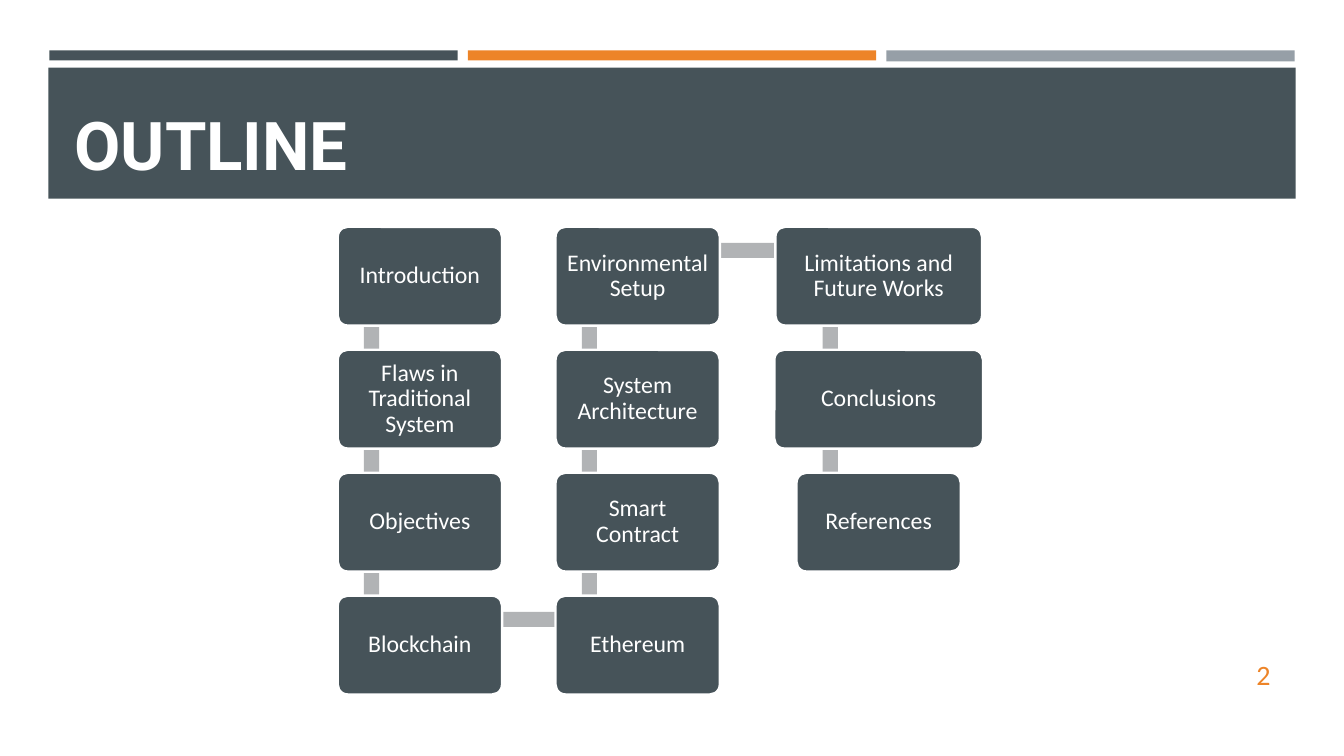
from dataclasses import dataclass
from itertools import pairwise

from pptx import Presentation, util as u
from pptx.dml.color import RGBColor
from pptx.enum import shapes, text

EMU_PER_PX = 9144  # 100 px to the inch

SLATE, ORANGE, GREY = "465359", "ED8428", "969FA7"
LINK_GREY, WHITE = "B1B3B5", "FFFFFF"

STEP_WIDTH, STEP_HEIGHT, ROW_PITCH = 163, 98, 122
FIRST_ROW_TOP = 225
COLUMN_LEFTS = (335, 551, 790)
LINK_THICKNESS, LINK_INSET_X, LINK_INSET_Y = 15, 26, 16


@dataclass
class Box:
    left: int
    top: int
    width: int
    height: int


@dataclass
class Step:
    label: str
    column: int
    row: int
    width: int = STEP_WIDTH

    @property
    def left(self) -> int:
        return COLUMN_LEFTS[self.column]

    @property
    def top(self) -> int:
        return FIRST_ROW_TOP + self.row * ROW_PITCH

    @property
    def box(self) -> Box:
        """Wider steps grow evenly on both sides of their column."""
        left = self.left - (self.width - STEP_WIDTH) // 2
        return Box(left, self.top, self.width, STEP_HEIGHT)


HEADER_BARS = [
    (Box(49, 50, 405, 10), SLATE),
    (Box(464, 50, 405, 10), ORANGE),
    (Box(879, 50, 405, 11), GREY),
    (Box(48, 67, 1237, 130), SLATE),
]

# The path runs down, up, then down again
STEPS = [
    Step("Introduction", 0, 0),
    Step("Flaws in Traditional System", 0, 1),
    Step("Objectives", 0, 2),
    Step("Blockchain", 0, 3),
    Step("Ethereum", 1, 3),
    Step("Smart Contract", 1, 2),
    Step("System Architecture", 1, 1),
    Step("Environmental Setup", 1, 0),
    Step("Limitations and Future Works", 2, 0, 205),
    Step("Conclusions", 2, 1, 207),
    Step("References", 2, 2),
]


def px(length: int) -> u.Emu:
    return u.Emu(length * EMU_PER_PX)


def color(value: str) -> RGBColor:
    return RGBColor.from_string(value)


def place(box: Box) -> tuple:
    return px(box.left), px(box.top), px(box.width), px(box.height)


def add_block(slide, box: Box, fill: str, kind=shapes.MSO_SHAPE.RECTANGLE):
    shape = slide.shapes.add_shape(kind, *place(box))
    shape.shadow.inherit = False
    shape.fill.solid()
    shape.fill.fore_color.rgb = color(fill)
    shape.line.fill.background()
    return shape


def set_text(shape, content: str, font: str, size: int, ink: str,
             align, anchor, bold: bool = False) -> None:
    frame = shape.text_frame
    frame.word_wrap = True
    frame.vertical_anchor = anchor
    frame.text = content
    paragraph = frame.paragraphs[0]
    paragraph.alignment = align
    paragraph.line_spacing = 0.9
    run_font = paragraph.runs[0].font
    run_font.name, run_font.size, run_font.bold = font, u.Pt(size), bold
    run_font.color.rgb = color(ink)


def add_link(slide, start: Step, end: Step) -> None:
    left = min(start.left, end.left) + LINK_INSET_X
    top = min(start.top, end.top)
    if start.column == end.column:
        box = Box(left, top + STEP_HEIGHT // 4, LINK_THICKNESS, ROW_PITCH)
    else:
        width = abs(end.left - start.left)
        box = Box(left, top + LINK_INSET_Y, width, LINK_THICKNESS)
    add_block(slide, box, LINK_GREY)


def add_step(slide, step: Step) -> None:
    shape = add_block(slide, step.box, SLATE, shapes.MSO_SHAPE.ROUNDED_RECTANGLE)
    shape.adjustments[0] = 0.1
    shape.line.color.rgb = color(WHITE)
    shape.line.width = u.Pt(1.75)
    frame = shape.text_frame
    frame.margin_left = frame.margin_right = px(7)
    frame.margin_top = frame.margin_bottom = px(7)
    set_text(shape, step.label, "Calibri", 17, WHITE,
             text.PP_ALIGN.CENTER, text.MSO_ANCHOR.MIDDLE)


def main() -> None:
    presentation = Presentation()
    presentation.slide_width, presentation.slide_height = px(1333), px(750)
    slide = presentation.slides.add_slide(presentation.slide_layouts[6])

    # Header
    for box, fill in HEADER_BARS:
        add_block(slide, box, fill)
    title = slide.shapes.add_textbox(*place(Box(64, 77, 1206, 111)))
    set_text(title, "OUTLINE", "Roboto", 48, WHITE,
             text.PP_ALIGN.LEFT, text.MSO_ANCHOR.BOTTOM, bold=True)

    # Slide number
    number = slide.shapes.add_textbox(*place(Box(1155, 651, 115, 40)))
    set_text(number, "2", "Calibri", 20, ORANGE,
             text.PP_ALIGN.RIGHT, text.MSO_ANCHOR.MIDDLE)

    # Outline path: links lie behind the steps
    for start, end in pairwise(STEPS):
        add_link(slide, start, end)
    for step in STEPS:
        add_step(slide, step)

    presentation.save("out.pptx")


if __name__ == "__main__":
    main()
